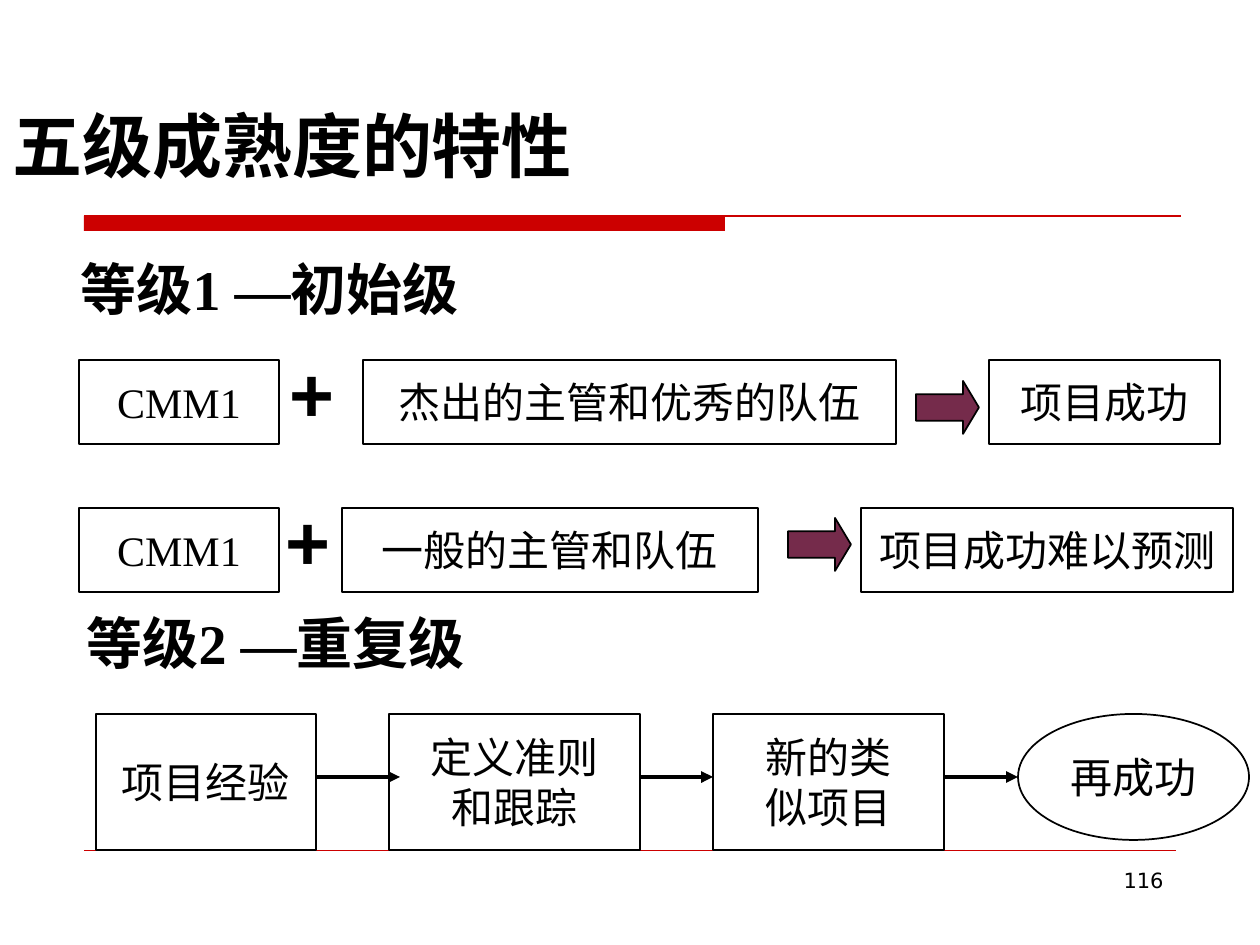
from pptx import Presentation
from pptx.dml.color import RGBColor
from pptx.enum.shapes import MSO_CONNECTOR, MSO_SHAPE
from pptx.enum.text import MSO_ANCHOR, MSO_AUTO_SIZE, PP_ALIGN
from pptx.oxml.ns import qn
from pptx.util import Pt
from lxml import etree

RECT, OVAL, ARROW = MSO_SHAPE.RECTANGLE, MSO_SHAPE.OVAL, MSO_SHAPE.RIGHT_ARROW
STRAIGHT = MSO_CONNECTOR.STRAIGHT
LEFT, CENTER, RIGHT = PP_ALIGN.LEFT, PP_ALIGN.CENTER, PP_ALIGN.RIGHT
MIDDLE = MSO_ANCHOR.MIDDLE
GROW = MSO_AUTO_SIZE.SHAPE_TO_FIT_TEXT

BLACK = RGBColor(0x00, 0x00, 0x00)
RED = RGBColor(0xCC, 0x00, 0x00)
PLUM = RGBColor(0x75, 0x2B, 0x4B)

SERIF = "Times New Roman"
CJK = "Noto Sans CJK SC"
PX_PER_INCH = 126


def px(value):
    return round(value * 914400 / PX_PER_INCH)


def write(shape, text, size, font=SERIF, bold=False, align=LEFT, wrap=False):
    frame = shape.text_frame
    frame.text = text
    frame.word_wrap = wrap
    for para in frame.paragraphs:
        para.alignment = align
        for span in para.runs:
            span.font.size = Pt(size)
            span.font.name = font
            span.font.bold = bold
            span.font.color.rgb = BLACK
            east_asian = etree.SubElement(span.font._element, qn("a:ea"))
            east_asian.set("typeface", CJK)


def add_label(page, box, text, size, grow=True, **style):
    label = page.shapes.add_textbox(*map(px, box))
    write(label, text, size, **style)
    if grow:
        label.text_frame.auto_size = GROW


def add_heading(page, left, top, text):
    """Level heading, wide enough to stay on one line."""
    add_label(page, (left, top, 460, 81), text, 32, bold=True, wrap=True)


def add_outline(page, kind, box, fill=None, line=BLACK):
    shape = page.shapes.add_shape(kind, *map(px, box))
    shape.shadow.inherit = False
    if fill is None:
        shape.fill.background()
    else:
        shape.fill.solid()
        shape.fill.fore_color.rgb = fill
    if line is None:
        shape.line.fill.background()
    else:
        shape.line.color.rgb = line
        shape.line.width = Pt(1)
    return shape


def add_node(page, kind, box, text, font=SERIF):
    node = add_outline(page, kind, box)
    write(node, text, 24, font=font, align=CENTER)
    node.text_frame.vertical_anchor = MIDDLE


def add_rule(page, left, right, y, color, width, arrow=False):
    rule = page.shapes.add_connector(STRAIGHT, px(left), px(y), px(right), px(y))
    rule.line.color.rgb = color
    rule.line.width = Pt(width)
    if arrow:
        etree.SubElement(rule.line._get_or_add_ln(), qn("a:tailEnd")).set("type", "triangle")
    etree.SubElement(rule._element.spPr, qn("a:effectLst"))


def add_frame(page, left, width):
    """Red bar under the title and thin rule above the page number."""
    top, bottom = 216, 850
    add_outline(page, RECT, (left, top, 641, 15), fill=RED, line=None)
    add_rule(page, left, left + width, top, RED, 0.75)
    add_rule(page, left, left + width - 5, bottom, RED, 0.25)


def add_equation(page, top, cells, plus_left, arrow_left, arrow_drop):
    """Boxes in a row: level plus team leads to outcome."""
    for left, width, text in cells:
        add_node(page, RECT, (left, top, width, 84), text)
    add_label(page, (plus_left, top - 21, 69, 106), "+", 44, font="Arial", bold=True)
    arrow = add_outline(page, ARROW, (arrow_left, top + arrow_drop, 63, 53), fill=PLUM)
    arrow.adjustments[0] = 0.5
    arrow.adjustments[1] = 0.3


def add_flow(page, top, steps, overlap):
    """Steps joined by arrows; the first arrow reaches into the second box."""
    for kind, left, width, height, text, font in steps:
        add_node(page, kind, (left, top, width, height), text, font)
    for index, (step, after) in enumerate(zip(steps, steps[1:])):
        end = after[1] + (overlap if index == 0 else 0)
        add_rule(page, step[1] + step[2], end, top + 63, BLACK, 2.25, arrow=True)


def main():
    deck = Presentation()
    deck.slide_width, deck.slide_height = px(1260), px(945)
    page = deck.slides.add_slide(deck.slide_layouts[6])

    # Title and rules
    add_frame(page, 84, 1097)
    add_label(page, (0, 96, 1166, 97), "五级成熟度的特性", 40,
              font="Lato", bold=True, wrap=True)

    # Level 1
    add_heading(page, 68, 248, "等级1 —初始级")
    add_equation(page, 360, [(79, 200, "CMM1"), (363, 533, "杰出的主管和优秀的队伍"),
                             (989, 231, "项目成功")], 277, 916, 21)
    add_equation(page, 508, [(79, 200, "CMM1"), (342, 416, "一般的主管和队伍"),
                             (861, 372, "项目成功难以预测")], 273, 788, 10)

    # Level 2
    add_heading(page, 74, 602, "等级2 —重复级")
    add_flow(page, 714, [
        (RECT, 96, 220, 136, "项目经验", SERIF),
        (RECT, 389, 251, 136, "定义准则\n和跟踪", SERIF),
        (RECT, 713, 231, 136, "新的类\n似项目", SERIF),
        (OVAL, 1018, 231, 126, "再成功", CJK),
    ], overlap=11)

    # Page number
    add_label(page, (903, 861, 273, 66), "116", 12, grow=False,
              font="DejaVu Sans", align=RIGHT, wrap=True)

    deck.save("out.pptx")


if __name__ == "__main__":
    main()
